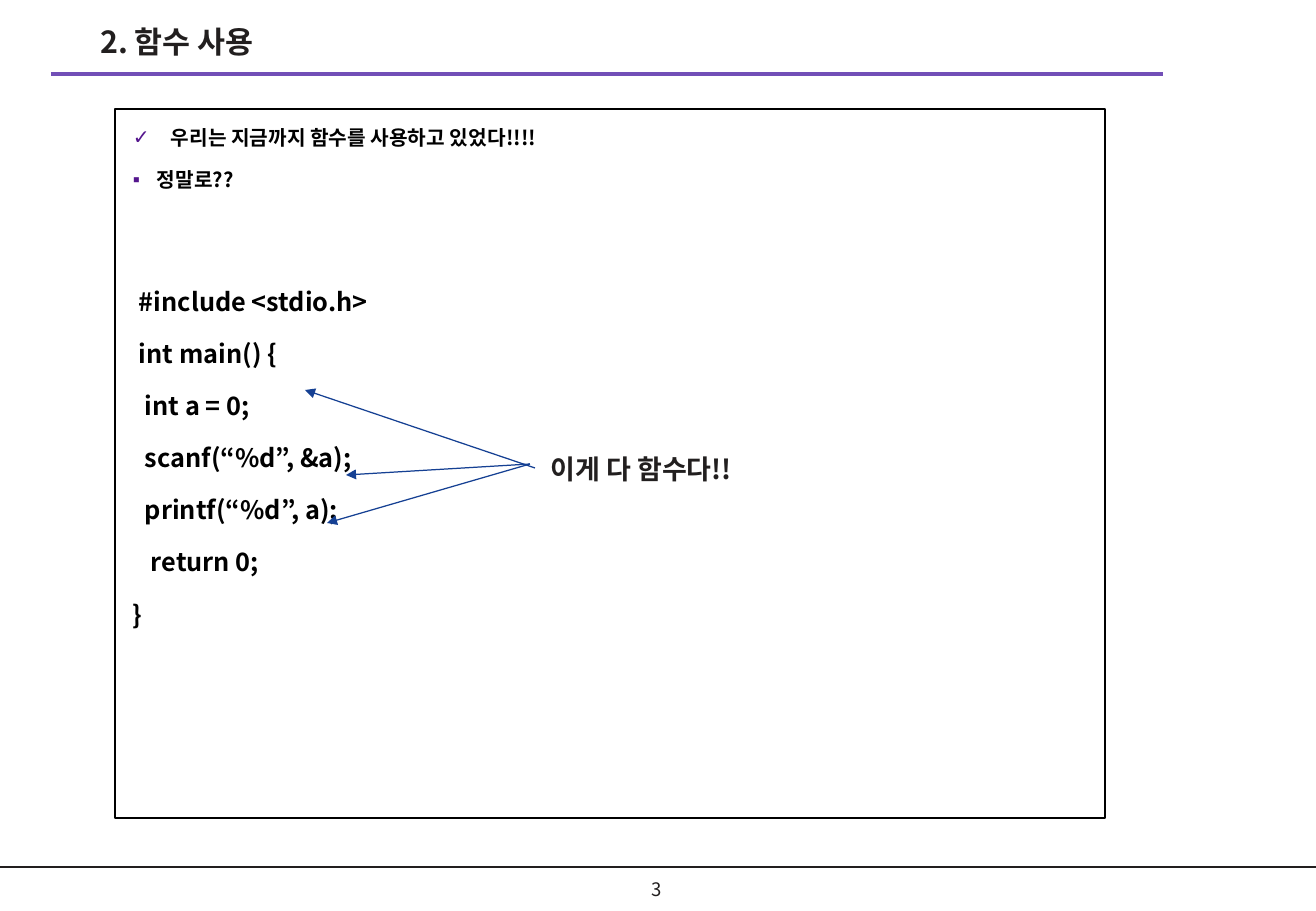
from lxml.etree import SubElement
from pptx import Presentation
from pptx.dml.color import RGBColor
from pptx.enum.shapes import MSO_CONNECTOR
from pptx.enum.text import MSO_ANCHOR as Anchor, MSO_AUTO_SIZE as AutoSize, PP_ALIGN as Align
from pptx.oxml.ns import qn
from pptx.util import Pt

BLACK = RGBColor(0x00, 0x00, 0x00)
CHARCOAL = RGBColor(0x22, 0x1F, 0x1F)
VIOLET = RGBColor(0x72, 0x4F, 0xB7)
BULLET_PURPLE = RGBColor(0x54, 0x15, 0x8D)
ARROW_BLUE = RGBColor(0x15, 0x40, 0x93)
FONT = "Noto Sans CJK KR"
PAGE_WIDTH, PAGE_HEIGHT = 1316, 911
CODE_STEP = 6


def px(length):
    return round(length * 914400 / 121.5)


class Page:
    def __init__(self, deck):
        self.slide = deck.slides.add_slide(deck.slide_layouts[1])
        self.shapes = self.slide.shapes

    def place(self, shape, left, top, width, height):
        shape.left, shape.top = px(left), px(top)
        shape.width, shape.height = px(width), px(height)

    def style(self, para, size, color, bold=False):
        font = para.font
        font.name, font.size, font.bold = FONT, Pt(size), bold
        font.color.rgb = color
        SubElement(font._element, qn("a:ea"), typeface=FONT)

    def line(self, start, end, color, weight, arrow=False):
        line = self.shapes.add_connector(
            MSO_CONNECTOR.STRAIGHT, *map(px, start), *map(px, end))
        line.line.color.rgb = color
        line.line.width = Pt(weight)
        if arrow:
            SubElement(line.line._get_or_add_ln(), qn("a:tailEnd"), type="triangle")
        SubElement(line._element.spPr, qn("a:effectLst"))

    def title(self, text, bounds):
        box = self.shapes.title
        self.place(box, *bounds)
        frame = box.text_frame
        frame.text = text
        frame.auto_size = AutoSize.NONE
        frame.vertical_anchor = Anchor.TOP
        frame.paragraphs[0].alignment = Align.LEFT
        self.style(frame.paragraphs[0], 18, CHARCOAL, bold=True)

    def text(self, text, bounds, size, bold=False, align=Align.LEFT,
             anchor=Anchor.TOP, wrap=True):
        box = self.shapes.add_textbox(0, 0, 0, 0)
        self.place(box, *bounds)
        frame = box.text_frame
        frame.word_wrap = wrap
        frame.vertical_anchor = anchor
        para = frame.paragraphs[0]
        para.text, para.alignment = text, align
        self.style(para, size, CHARCOAL, bold)

    def body(self, bounds):
        box = self.slide.placeholders[1]
        self.place(box, *bounds)
        box.line.color.rgb = BLACK
        box.line.width = Pt(0.75)
        frame = box.text_frame
        frame.auto_size = AutoSize.NONE
        frame.margin_left = frame.margin_right = px(18)
        frame.margin_top = frame.margin_bottom = px(9)
        return frame

    def body_line(self, frame, text, size, before, indent, bullet=None):
        first = frame.paragraphs[0]
        para = first if not first.text else frame.add_paragraph()
        para.text = text
        para.line_spacing = 1.3
        para.space_before = Pt(before)
        props = para._element.get_or_add_pPr()
        props.set("marL", str(px(indent)))
        props.set("indent", str(-px(indent) if bullet else 0))
        if bullet:
            color = SubElement(props, qn("a:buClr"))
            SubElement(color, qn("a:srgbClr"), val=str(BULLET_PURPLE))
            SubElement(props, qn("a:buChar"), char=bullet)
        else:
            SubElement(props, qn("a:buNone"))
        self.style(para, size, BLACK, bold=True)


deck = Presentation()
deck.slide_width, deck.slide_height = px(PAGE_WIDTH), px(PAGE_HEIGHT)
page = Page(deck)

# Header and footer
page.line((0, 867), (PAGE_WIDTH, 867), CHARCOAL, 1)
page.line((51, 74), (1163, 74), VIOLET, 2.25)
page.text("3", (620, 869, 74, 40), 11, align=Align.CENTER, anchor=Anchor.MIDDLE)
page.title("2. 함수 사용", (88, 17, 674, 58))

# Framed statements and code
frame = page.body((115, 109, 990, 709))
for bullet, indent, before, text in (
        ("✓", 38, 1.7, "우리는 지금까지 함수를 사용하고 있었다!!!!"),
        ("▪", 24, 6.4, "정말로??")):
    page.body_line(frame, text, 12, before, indent, bullet)

CODE = (
    (1, "#include <stdio.h>"),
    (1, "int main() {"),
    (2, "int a = 0;"),
    (2, "scanf(“%d”, &a);"),
    (2, "printf(“%d”, a);"),
    (3, "return 0;"),
    (0, "}"),
)
for number, (depth, text) in enumerate(CODE):
    page.body_line(frame, text, 15, 7.5 if number else 50.3, depth * CODE_STEP)

# Arrows from the remark to the code
for start, end in (((530, 464), (346, 475)),
                   ((535, 468), (305, 390)),
                   ((530, 464), (327, 523))):
    page.line(start, end, ARROW_BLUE, 0.75, arrow=True)
page.text("이게 다 함수다!!", (539, 447, 225, 45), 16, bold=True, wrap=False)

deck.save("out.pptx")
